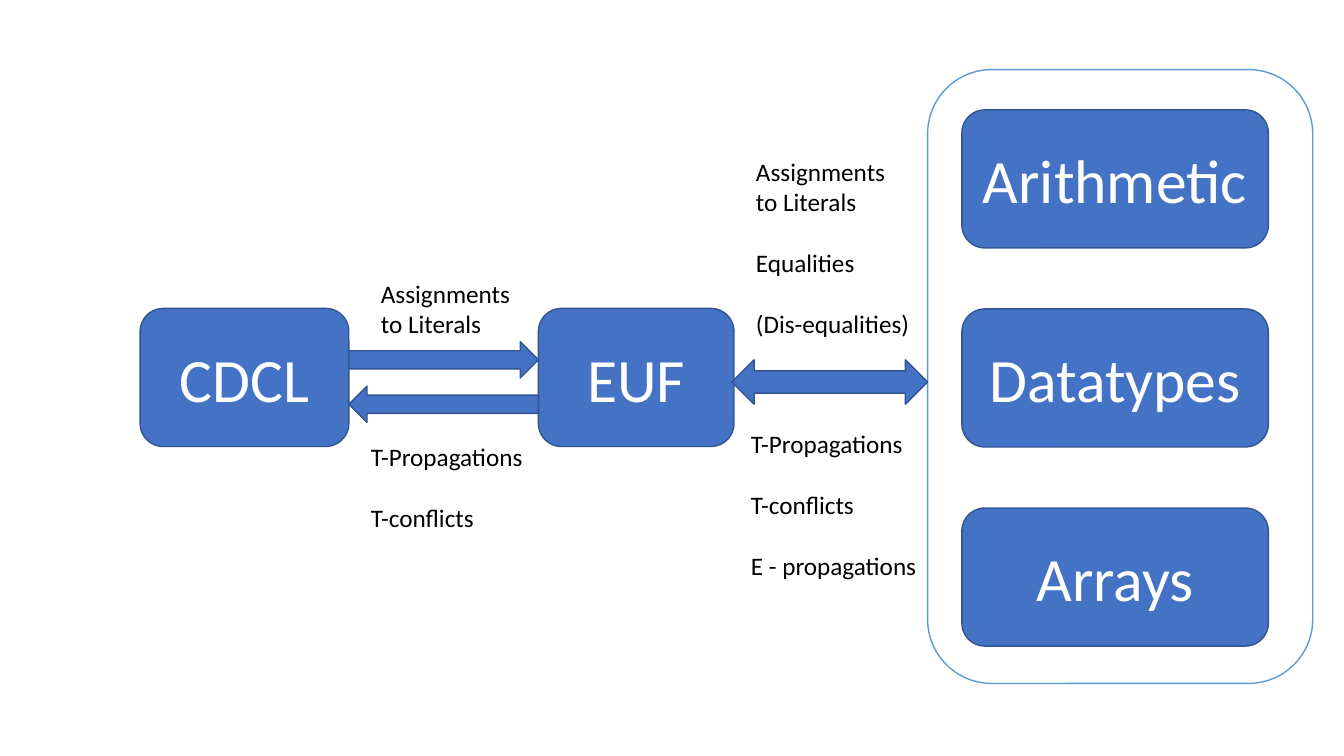
from dataclasses import dataclass

from pptx import Presentation
from pptx import util as u
from pptx.dml.color import RGBColor
from pptx.enum import shapes, text


@dataclass(frozen=True)
class Theme:
    font: str = "Calibri"
    fill: RGBColor = RGBColor(0x44, 0x72, 0xC4)
    line: RGBColor = RGBColor(0x32, 0x54, 0x91)
    frame_line: RGBColor = RGBColor(0x5B, 0x9B, 0xD5)
    white: RGBColor = RGBColor(255, 255, 255)
    black: RGBColor = RGBColor(0, 0, 0)
    solver_size: u.Pt = u.Pt(44)
    note_size: u.Pt = u.Pt(18)
    note_gap: u.Pt = u.Pt(22)
    line_width: u.Pt = u.Pt(1)


theme = Theme()
preset = shapes.MSO_SHAPE


def add_block(kind, left, top, width, height, fill=theme.fill, line=theme.line):
    block = page.shapes.add_shape(
        kind, u.Inches(left), u.Inches(top), u.Inches(width), u.Inches(height))
    block.shadow.inherit = False
    block.fill.solid()
    block.fill.fore_color.rgb = fill
    block.line.color.rgb = line
    block.line.width = theme.line_width
    return block


def style_paragraph(para, size, color):
    para.font.name = theme.font
    para.font.size = size
    para.font.color.rgb = color


deck = Presentation()
deck.slide_width, deck.slide_height = u.Inches(13.33), u.Inches(7.5)
page = deck.slides.add_slide(deck.slide_layouts[6])

# Frame around the theory solvers
add_block(preset.ROUNDED_RECTANGLE, 9.2, 0.69, 3.82, 6.09,
          theme.white, theme.frame_line)

# Solver boxes: the core pair, then the evenly spaced theories
solvers = [("CDCL", 1.39, 3.06, 2.07), ("EUF", 5.34, 3.06, 1.94)]
for row, theory in enumerate(["Arithmetic", "Datatypes", "Arrays"]):
    solvers.append((theory, 9.54, 1.09 + 1.975 * row, 3.04))

for name, left, top, width in solvers:
    box = add_block(preset.ROUNDED_RECTANGLE, left, top, width, 1.37)
    box.text_frame.text = name
    box.text_frame.vertical_anchor = text.MSO_ANCHOR.MIDDLE
    para = box.text_frame.paragraphs[0]
    para.alignment = text.PP_ALIGN.CENTER
    style_paragraph(para, theme.solver_size, theme.white)

# Arrows between the solvers
add_block(preset.LEFT_RIGHT_ARROW, 7.26, 3.57, 1.94, 0.44)
for top, rotation in [(3.39, 0), (3.83, 180)]:
    arrow = add_block(preset.RIGHT_ARROW, 3.46, top, 1.88, 0.36)
    arrow.rotation = rotation

# Notes on the arrows: each group of lines is set apart by a gap
notes = [
    (3.68, 2.71, 1.5, 0.71, [["Assignments", "to Literals"]]),
    (3.58, 4.33, 1.74, 1.01, [["T-Propagations"], ["T-conflicts"]]),
    (7.4, 1.5, 1.74, 1.92,
     [["Assignments", "to Literals"], ["Equalities"], ["(Dis-equalities)"]]),
    (7.35, 4.2, 1.86, 1.62,
     [["T-Propagations"], ["T-conflicts"], ["E - propagations"]]),
]
for left, top, width, height, groups in notes:
    note = page.shapes.add_textbox(
        u.Inches(left), u.Inches(top), u.Inches(width), u.Inches(height))
    frame = note.text_frame
    frame.word_wrap = False
    frame.auto_size = text.MSO_AUTO_SIZE.SHAPE_TO_FIT_TEXT
    frame.text = "\n".join(line for group in groups for line in group)
    paragraphs = iter(frame.paragraphs)
    for group_index, group in enumerate(groups):
        for line_index, line in enumerate(group):
            para = next(paragraphs)
            style_paragraph(para, theme.note_size, theme.black)
            if group_index > 0 and line_index == 0:
                para.space_before = theme.note_gap

deck.save("out.pptx")
